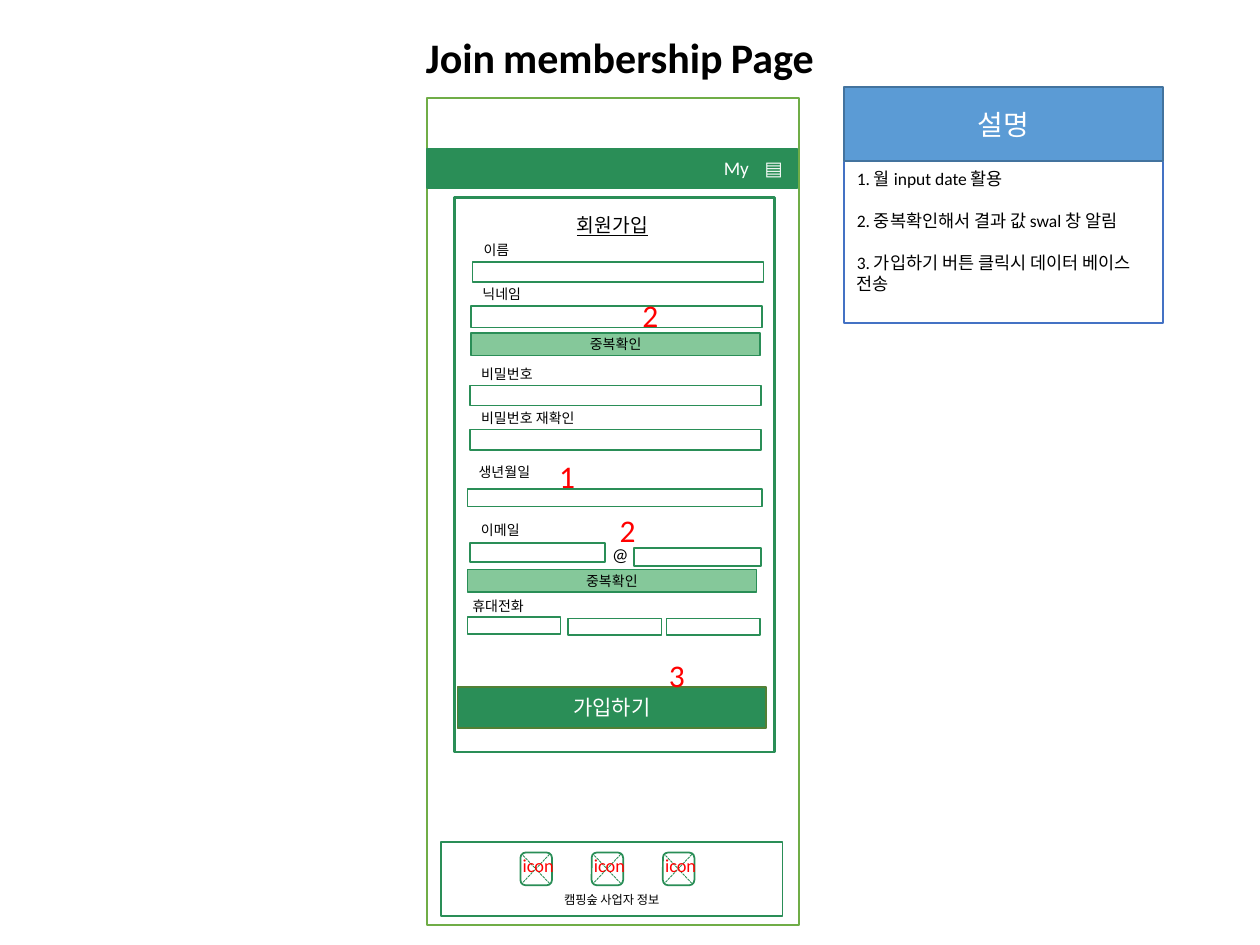
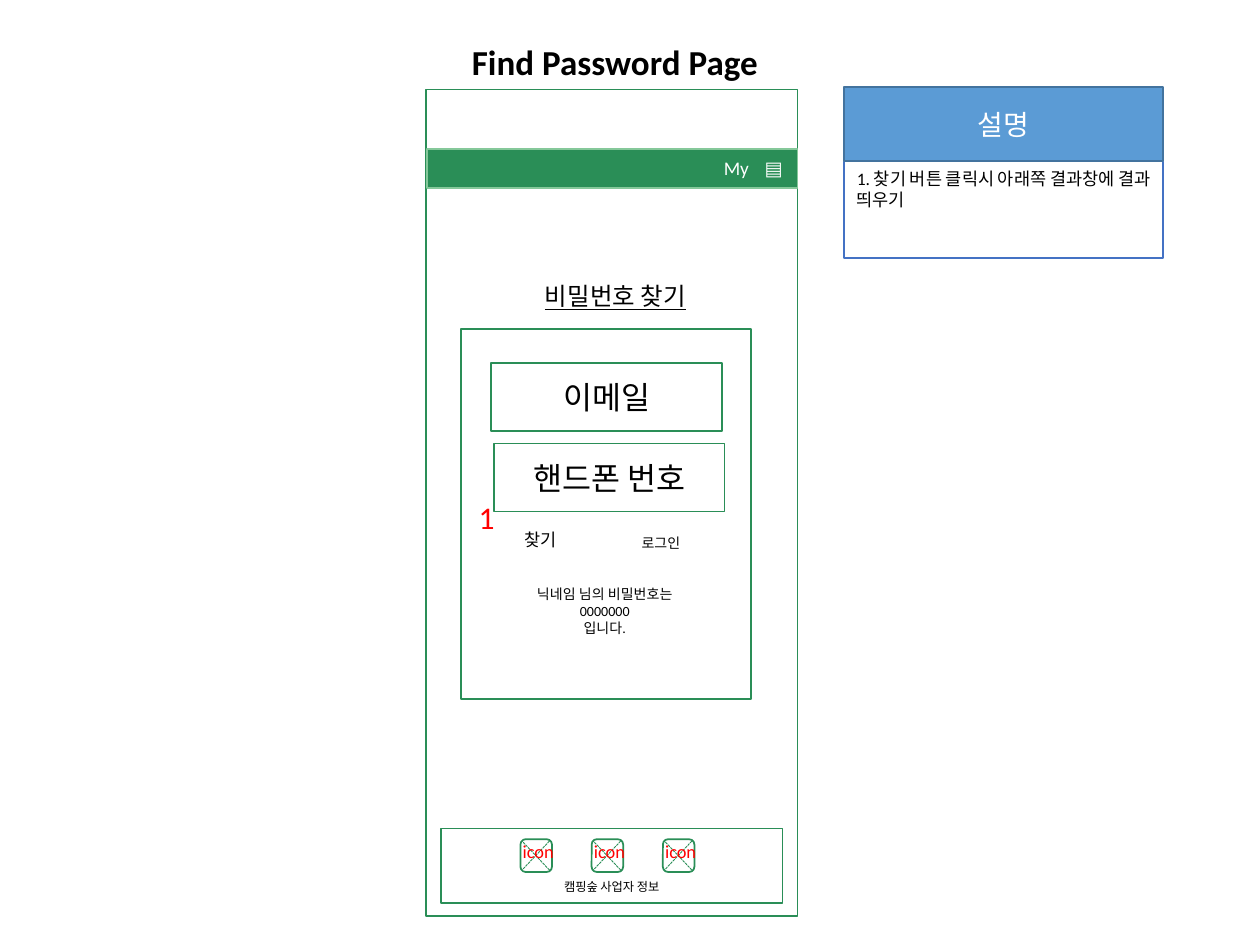
from lxml import etree
from pptx import Presentation
from pptx.dml.color import RGBColor
from pptx.enum.dml import MSO_LINE
from pptx.enum.shapes import MSO_CONNECTOR, MSO_SHAPE
from pptx.enum.text import MSO_ANCHOR as ANCHOR, MSO_AUTO_SIZE, PP_ALIGN as ALIGN
from pptx.oxml.ns import qn
from pptx.util import Pt

FONT = "Calibri"
COLORS = {
    "green": "2A8E57", "mint": "85C89A", "lime": "70AD47", "olive": "538035",
    "blue": "5B9BD5", "navy": "43739E", "notes": "4472C4",
    "red": "FF0000", "black": "000000", "white": "FFFFFF",
}
RGB = {name: RGBColor.from_string(value) for name, value in COLORS.items()}


def add_run(p, text, size, color="black", bold=False, underline=False):
    r = p.add_run()
    r.text = text
    r.font.name = FONT
    r.font.size = Pt(size)
    r.font.color.rgb = RGB[color]
    r.font.bold = bold
    r.font.underline = underline


def add_box(shapes, x, y, w, h, lines=(), size=8, color="black", fill=None, line=None,
            weight=1, kind=MSO_SHAPE.RECTANGLE, align=ALIGN.CENTER,
            anchor=ANCHOR.MIDDLE, underline=False):
    sp = shapes.add_shape(kind, Pt(x), Pt(y), Pt(w), Pt(h))
    sp.shadow.inherit = False
    if fill:
        sp.fill.solid()
        sp.fill.fore_color.rgb = RGB[fill]
    else:
        sp.fill.background()
    if line:
        sp.line.color.rgb = RGB[line]
        sp.line.width = Pt(weight)
    else:
        sp.line.fill.background()
    tf = sp.text_frame
    tf.word_wrap = True
    tf.vertical_anchor = anchor
    for i, text in enumerate(lines):
        p = tf.add_paragraph() if i else tf.paragraphs[0]
        p.alignment = align
        add_run(p, text, size, color, underline=underline)
    return sp


prs = Presentation()
prs.slide_width, prs.slide_height = Pt(720), Pt(540)

PAGES = [
    {
        "title": [("Join", 24), (" ", 20), ("membership", 24), (" ", 20), ("Page", 24)],
        "title_at": (227.5, 14.4, 253.4, 36),
        "frame": (244.1, 56.2, "lime"), "bar_line": "green", "footer_y": 481,
        "notes": ["1. 월 input date 활용", "2. 중복확인해서 결과 값 swal 창 알림",
                  "3. 가입하기 버튼 클릭시 데이터 베이스 전송"],
        "notes_h": 92.2,
    },
    {
        "title": [("Find Password Page", 20)],
        "title_at": (229, 19.4, 244.8, 31.7),
        "frame": (243.4, 51.1, "green"), "bar_line": "mint", "footer_y": 473.4,
        "notes": ["1. 찾기 버튼 클릭시 아래쪽 결과창에 결과 띄우기"],
        "notes_h": 55.4,
    },
]

# Shared parts: title, notes panel, phone frame, menu bar, footer
slides = []
for page in PAGES:
    slide = prs.slides.add_slide(prs.slide_layouts[1])
    slides.append(slide)
    shapes = slide.shapes
    title, notes = shapes.title, slide.placeholders[1]
    places = [(title, page["title_at"]), (notes, (482.4, 92.2, 182.2, page["notes_h"]))]
    for ph, place in places:
        ph.left, ph.top, ph.width, ph.height = [Pt(v) for v in place]
        ph.text_frame.auto_size = MSO_AUTO_SIZE.NONE
        ph.text_frame.word_wrap = True
        ph.text_frame.vertical_anchor = ANCHOR.TOP

    p = title.text_frame.paragraphs[0]
    p.alignment = ALIGN.CENTER
    for text, size in page["title"]:
        add_run(p, text, size, bold=True)

    # Notes panel
    notes.fill.solid()
    notes.fill.fore_color.rgb = RGB["white"]
    notes.line.color.rgb = RGB["notes"]
    notes.line.width = Pt(1)
    tf = notes.text_frame
    for i, text in enumerate(page["notes"]):
        p = tf.add_paragraph() if i else tf.paragraphs[0]
        p.space_before = Pt(12 if i else 0)
        pPr = p._p.get_or_add_pPr()
        pPr.set("marL", "0")
        pPr.set("indent", "0")
        etree.SubElement(pPr, qn("a:buNone"))
        add_run(p, text, 10)
    add_box(shapes, 482.4, 49.7, 182.2, 42.5, ["설명"], 16, "white", fill="blue", line="navy")

    # Phone frame and menu bar
    x, y, line = page["frame"]
    add_box(shapes, x, y, 212.4, 472.3, fill="white", line=line)
    add_box(shapes, 244.1, 85, 211.7, 22.3, fill="green", line=page["bar_line"])
    for x, w, text in [(403.9, 33.8, "My"), (429.8, 23, "▤")]:
        add_box(shapes, x, 86.4, w, 18.7, [text], 11, "white", line="green")

    # Footer with three icon slots
    footer = shapes.add_group_shape().shapes
    y = page["footer_y"]
    sp = add_box(footer, 252, y, 195.1, 42.5, ["캠핑숲 사업자 정보"], 7,
                 fill="white", line="green", anchor=ANCHOR.TOP)
    sp.text_frame.margin_top = Pt(29)
    for i in range(3):
        x = 297.4 + 40.7 * i
        add_box(footer, x, y + 6.2, 18, 18.7, fill="white", line="green",
                kind=MSO_SHAPE.ROUNDED_RECTANGLE)
        for y1, y2 in [(23.8, 7.2), (7.2, 23.8)]:
            cross = footer.add_connector(MSO_CONNECTOR.STRAIGHT, Pt(x + 16.6), Pt(y + y1),
                                         Pt(x + 0.9), Pt(y + y2))
            cross.line.color.rgb = RGB["green"]
            cross.line.width = Pt(0.5)
            cross.line.dash_style = MSO_LINE.SQUARE_DOT
            etree.SubElement(cross._element.spPr, qn("a:effectLst"))
        add_box(footer, x - 5.8, y + 3.4, 36, 21.6, ["icon"], 10.5, "red",
                align=ALIGN.LEFT, anchor=ANCHOR.TOP)

join, find = [slide.shapes for slide in slides]

# Join form
add_box(join, 259.9, 113, 182.9, 316.8, line="green", weight=1.5)
add_box(join, 261.4, 392.4, 176.4, 23.8, ["가입하기"], 12, "white", fill="green", line="olive")

FIELDS = [
    (270, 149.8, 166.3, 11.5), (269.3, 175, 166.3, 12.2), (268.6, 220.3, 166.3, 11.5),
    (268.6, 245.5, 166.3, 11.5), (267.1, 279.4, 168.5, 10.1), (268.6, 310.3, 77, 10.8),
    (362.2, 313.2, 72.7, 10.1), (267.1, 352.8, 53.3, 9.4), (324.7, 353.5, 53.3, 9.4),
    (380.9, 353.5, 53.3, 9.4),
]
for field in FIELDS:
    add_box(join, *field, fill="white", line="green")

for x, y in [(269.3, 190.1), (267.1, 325.4)]:
    add_box(join, x, y, 165.2, 13, ["중복확인"], fill="mint", line="green")

LABELS = [
    (322.6, 118.1, 62, "회원가입", 11), (269.3, 134.6, 45.4, "이름", 8),
    (268.6, 159.8, 45.4, "닉네임", 8), (267.8, 205.2, 58.3, "비밀번호", 8),
    (267.8, 230.4, 77.8, "비밀번호 재확인", 8), (266.4, 261.4, 65.5, "생년월일", 8),
    (267.8, 294.5, 45.4, "이메일", 8), (262.8, 337.7, 50.4, "휴대전화", 8),
    (342.7, 306.7, 25, "@", 10.5),
]
for x, y, w, text, size in LABELS:
    add_box(join, x, y, w, 17.3, [text], size, align=ALIGN.LEFT, anchor=ANCHOR.TOP,
            underline=text == "회원가입")

# Password finder
add_box(find, 295.9, 157, 111.6, 24.5, ["비밀번호 찾기"], 14, anchor=ANCHOR.TOP, underline=True)
panel = find.add_group_shape().shapes
add_box(panel, 263.5, 187.9, 165.6, 211.7, fill="white", line="green")
for x, y, text in [(280.8, 207.4, "이메일"), (282.2, 253.4, "핸드폰 번호")]:
    add_box(panel, x, y, 131.8, 38.9, [text], 18, fill="white", line="green")
add_box(panel, 279, 296.6, 59.8, 23, ["찾기"], 10, fill="white")
add_box(panel, 347.8, 298.8, 59.8, 23, ["로그인"], fill="white")
add_box(panel, 292.3, 337.7, 106.6, 23, ["닉네임 님의 비밀번호는", "0000000", "입니다."], fill="white")

# Red markers that point to the notes
MARKERS = [
    (join, 312.5, 257.8, "1"), (join, 347, 288.7, "2"), (join, 360, 165.6, "2"),
    (join, 375.1, 371.5, "3"), (find, 266.4, 280.8, "1"),
]
for shapes, x, y, number in MARKERS:
    add_box(shapes, x, y, 23.8, 28.8, [number], 18, "red", align=ALIGN.LEFT, anchor=ANCHOR.TOP)

prs.save("out.pptx")
